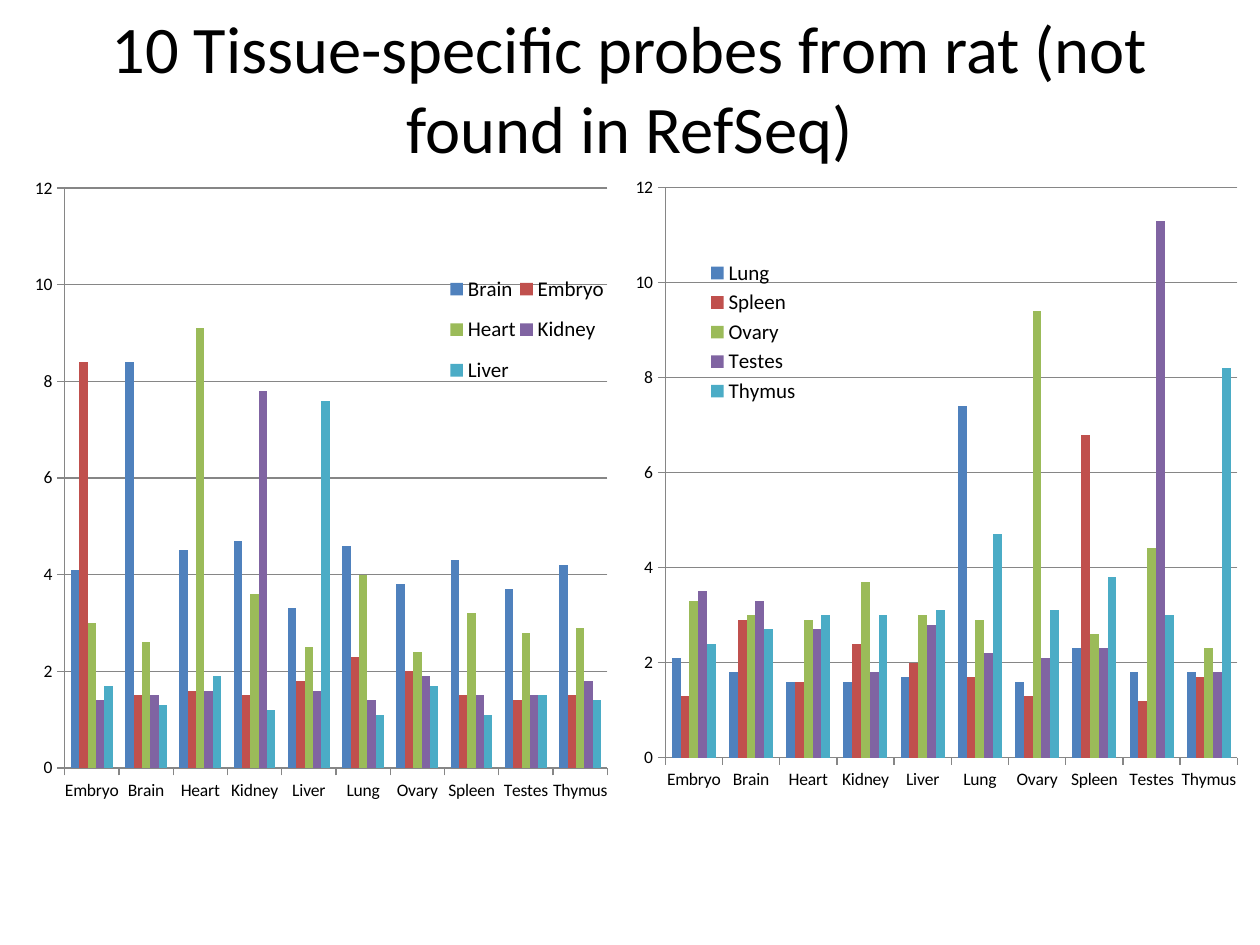
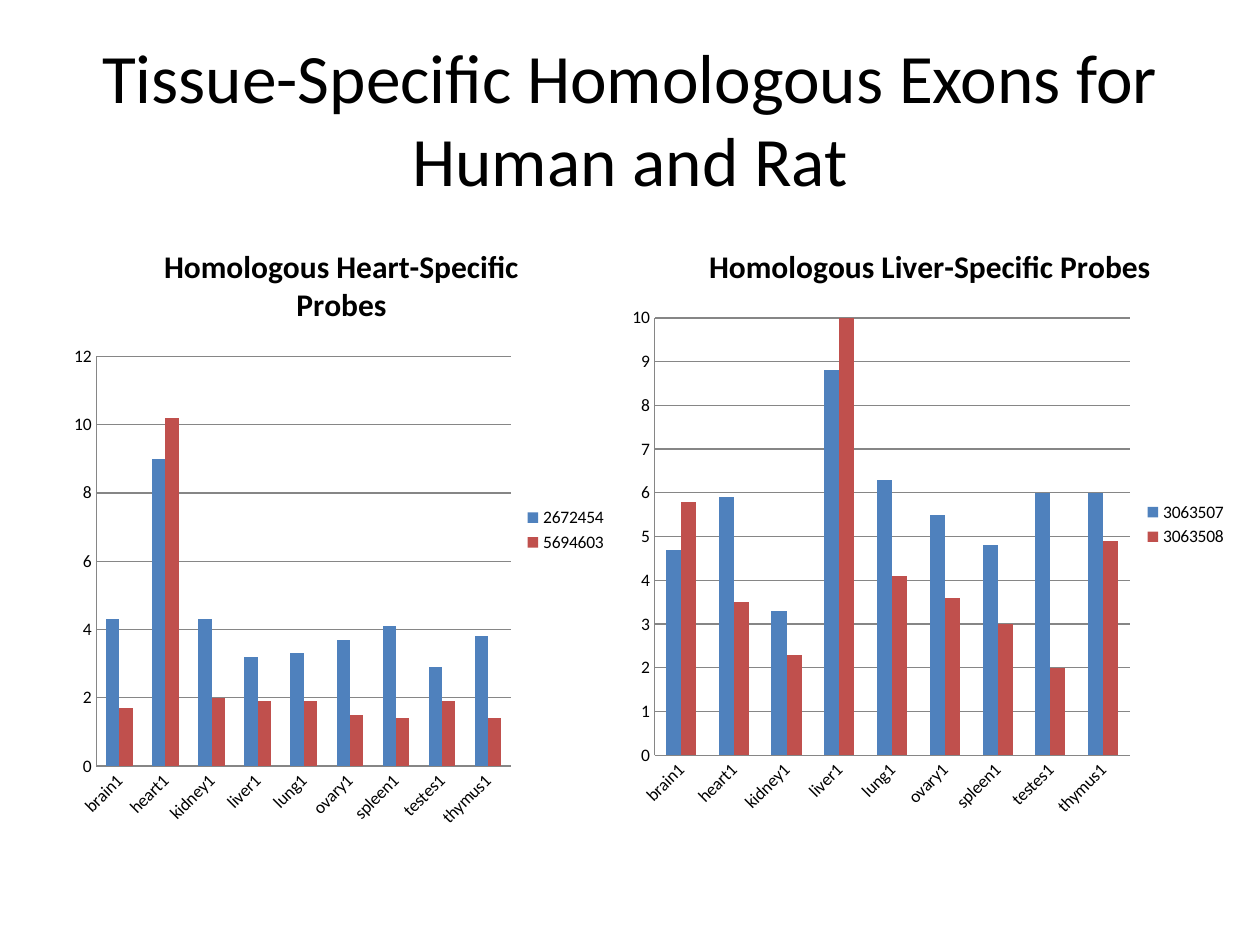
import pptx
import pptx.util
import pptx.chart.data
import pptx.dml.color
import pptx.enum.chart
import pptx.enum.text
import pptx.oxml
import pptx.oxml.ns

PX = 914400 // 126  # one picture pixel in EMU
FONT = "Calibri"
COLORS = {"text": "000000", "line": "868686", "back": "FFFFFF"}
SERIES_COLORS = ["4F81BD", "C0504D", "9BBB59", "8064A2", "4BACC6"]

# Content: boxes in pixels, plot and legend areas as fractions of the chart
TISSUES = ["Embryo", "Brain", "Heart", "Kidney", "Liver",
           "Lung", "Ovary", "Spleen", "Testes", "Thymus"]
SAMPLES = ["brain1", "heart1", "kidney1", "liver1", "lung1",
           "ovary1", "spleen1", "testes1", "thymus1"]
SLIDES = [
    {"title": "10 Tissue-specific probes from rat (not found in RefSeq)",
     "box": (63, 38, 1134, 98), "size": 38,
     "cats": TISSUES, "tick": "OUTSIDE", "legend_size": 12,
     "charts": [
         {"box": (21, 158, 599, 687), "max": 12, "major": 2,
          "plot": (0.073, 0.044, 0.906, 0.844),
          "legend": (0.71, 0.15, 0.27, 0.2),
          "series": {
              "Brain": (4.1, 8.4, 4.5, 4.7, 3.3, 4.6, 3.8, 4.3, 3.7, 4.2),
              "Embryo": (8.4, 1.5, 1.6, 1.5, 1.8, 2.3, 2, 1.5, 1.4, 1.5),
              "Heart": (3, 2.6, 9.1, 3.6, 2.5, 4, 2.4, 3.2, 2.8, 2.9),
              "Kidney": (1.4, 1.5, 1.6, 7.8, 1.6, 1.4, 1.9, 1.5, 1.5, 1.8),
              "Liver": (1.7, 1.3, 1.9, 1.2, 7.6, 1.1, 1.7, 1.1, 1.5, 1.4)}},
         {"box": (620, 168, 620, 677), "max": 12, "major": 2,
          "plot": (0.073, 0.029, 0.923, 0.842),
          "legend": (0.14, 0.13, 0.15, 0.225),
          "series": {
              "Lung": (2.1, 1.8, 1.6, 1.6, 1.7, 7.4, 1.6, 2.3, 1.8, 1.8),
              "Spleen": (1.3, 2.9, 1.6, 2.4, 2, 1.7, 1.3, 6.8, 1.2, 1.7),
              "Ovary": (3.3, 3, 2.9, 3.7, 3, 2.9, 9.4, 2.6, 4.4, 2.3),
              "Testes": (3.5, 3.3, 2.7, 1.8, 2.8, 2.2, 2.1, 2.3, 11.3, 1.8),
              "Thymus": (2.4, 2.7, 3, 3, 3.1, 4.7, 3.1, 3.8, 3, 8.2)}}]},
    {"title": "Tissue-Specific Homologous Exons for Human and Rat",
     "box": (63, 38, 1134, 158), "size": 39.6,
     "cats": SAMPLES, "tick": "NONE", "legend_size": 10, "rotate": -45,
     "charts": [
         {"box": (63, 220, 557, 620), "max": 12, "major": 2,
          "title": "Homologous Heart-Specific Probes",
          "series": {
              "2672454": (4.3, 9, 4.3, 3.2, 3.3, 3.7, 4.1, 2.9, 3.8),
              "5694603": (1.7, 10.2, 2, 1.9, 1.9, 1.5, 1.4, 1.9, 1.4)}},
         {"box": (620, 220, 620, 609), "max": 10, "major": 1,
          "title": "Homologous Liver-Specific Probes",
          "series": {
              "3063507": (4.7, 5.9, 3.3, 8.8, 6.3, 5.5, 4.8, 6, 6),
              "3063508": (5.8, 3.5, 2.3, 10, 4.1, 3.6, 3, 2, 4.9)}}]},
]


def emu(box):
    return [v * PX for v in box]


def rgb(value):
    return pptx.dml.color.RGBColor.from_string(value)


def assign(obj, values):
    for name, value in values.items():
        setattr(obj, name, value)


def style_font(font, size, bold=False):
    assign(font, {"name": FONT, "size": pptx.util.Pt(size), "bold": bold})
    font.color.rgb = rgb(COLORS["text"])


def style_line(line):
    line.color.rgb = rgb(COLORS["line"])
    line.width = pptx.util.Pt(0.75)


def set_layout(parent, index, area, inner=False):
    """Place a chart part by hand, as fractions of the chart."""
    for old in parent.findall(pptx.oxml.ns.qn("c:layout")):
        parent.remove(old)
    tags = [("layoutTarget", "inner")] if inner else []
    tags += [("xMode", "edge"), ("yMode", "edge"), *zip("xywh", area)]
    body = "".join(f'<c:{tag} val="{val}"/>' for tag, val in tags)
    parent.insert(index, pptx.oxml.parse_xml(
        f'<c:layout {pptx.oxml.ns.nsdecls("c")}>'
        f'<c:manualLayout>{body}</c:manualLayout></c:layout>'))


def add_title(s, page):
    tf = s.shapes.add_textbox(*emu(page["box"])).text_frame
    assign(tf, {"word_wrap": True,
                "vertical_anchor": pptx.enum.text.MSO_ANCHOR.MIDDLE})
    p = tf.paragraphs[0]
    p.alignment = pptx.enum.text.PP_ALIGN.CENTER
    r = p.add_run()
    r.text = page["title"]
    style_font(r.font, page["size"])


def add_columns(s, page, item):
    data = pptx.chart.data.CategoryChartData()
    data.categories = page["cats"]
    for name, values in item["series"].items():
        data.add_series(name, values)
    chart = s.shapes.add_chart(
        pptx.enum.chart.XL_CHART_TYPE.COLUMN_CLUSTERED,
        *emu(item["box"]), data).chart
    style_font(chart.font, 10)

    # Columns
    plot = chart.plots[0]
    assign(plot, {"gap_width": 150, "overlap": 0, "vary_by_categories": False})
    for series, color in zip(plot.series, SERIES_COLORS):
        series.format.fill.solid()
        series.format.fill.fore_color.rgb = rgb(color)

    # Axes
    marks = pptx.enum.chart.XL_TICK_MARK
    for axis in (chart.category_axis, chart.value_axis):
        assign(axis, {"major_tick_mark": getattr(marks, page["tick"]),
                      "minor_tick_mark": marks.NONE})
        style_line(axis.format.line)
        style_font(axis.tick_labels.font, 10)
    assign(chart.value_axis, {"minimum_scale": 0, "maximum_scale": item["max"],
                              "major_unit": item["major"],
                              "has_major_gridlines": True})
    style_line(chart.value_axis.major_gridlines.format.line)
    if "rotate" in page:
        labels = chart.category_axis._element.find(pptx.oxml.ns.qn("c:txPr"))
        body = labels.find(pptx.oxml.ns.qn("a:bodyPr"))
        body.set("rot", str(page["rotate"] * 60000))
        body.set("vert", "horz")

    # Title and legend
    chart.has_title = "title" in item
    if chart.has_title:
        r = chart.chart_title.text_frame.paragraphs[0].add_run()
        r.text = item["title"]
        style_font(r.font, 18, True)
        chart.chart_title.include_in_layout = False
    chart.has_legend = True
    assign(chart.legend, {"include_in_layout": False,
                          "position": pptx.enum.chart.XL_LEGEND_POSITION.RIGHT})
    style_font(chart.legend.font, page["legend_size"])

    # Hand-placed parts
    if "plot" in item:
        area = chart._chartSpace.find(".//" + pptx.oxml.ns.qn("c:plotArea"))
        set_layout(area, 0, item["plot"], inner=True)
        set_layout(chart.legend._element, 1, item["legend"])


prs = pptx.Presentation()
assign(prs, {"slide_width": 1260 * PX, "slide_height": 945 * PX})
for page in SLIDES:
    s = prs.slides.add_slide(prs.slide_layouts[6])
    s.background.fill.solid()
    s.background.fill.fore_color.rgb = rgb(COLORS["back"])
    add_title(s, page)
    for item in page["charts"]:
        add_columns(s, page, item)
prs.save("out.pptx")
